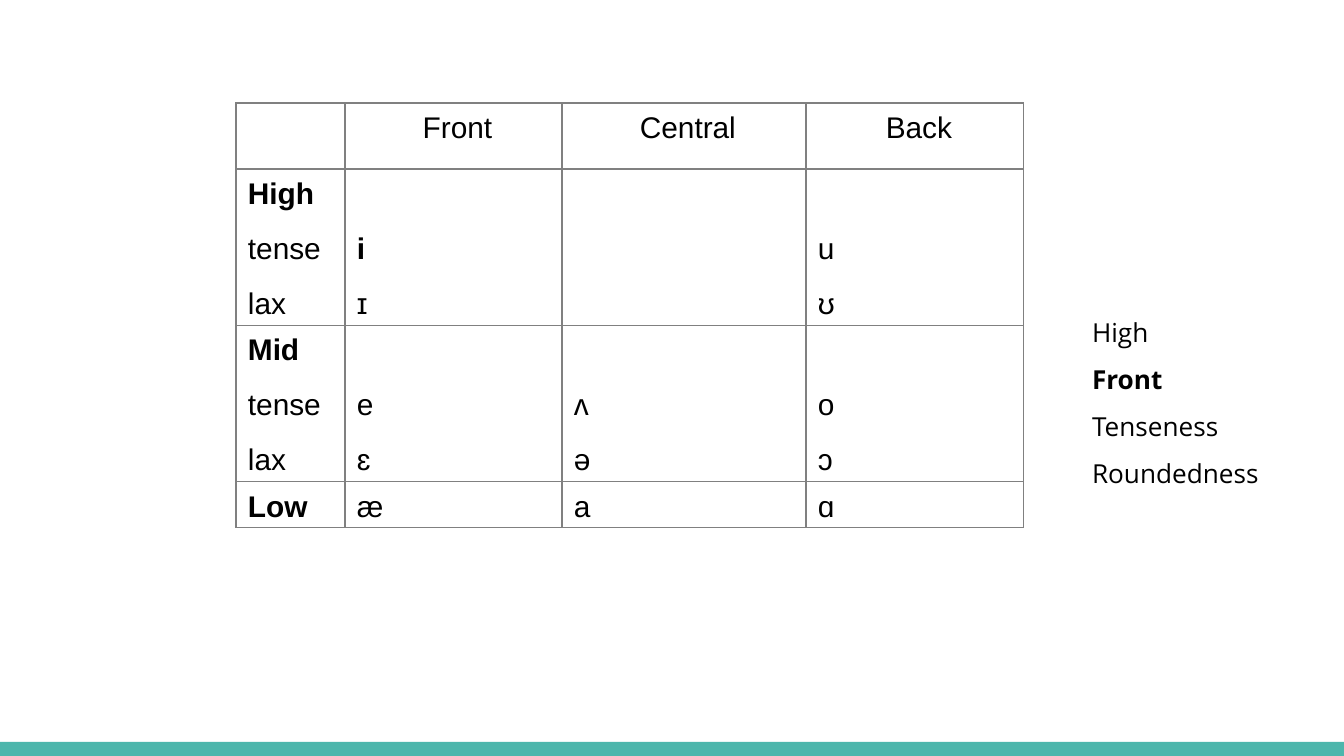
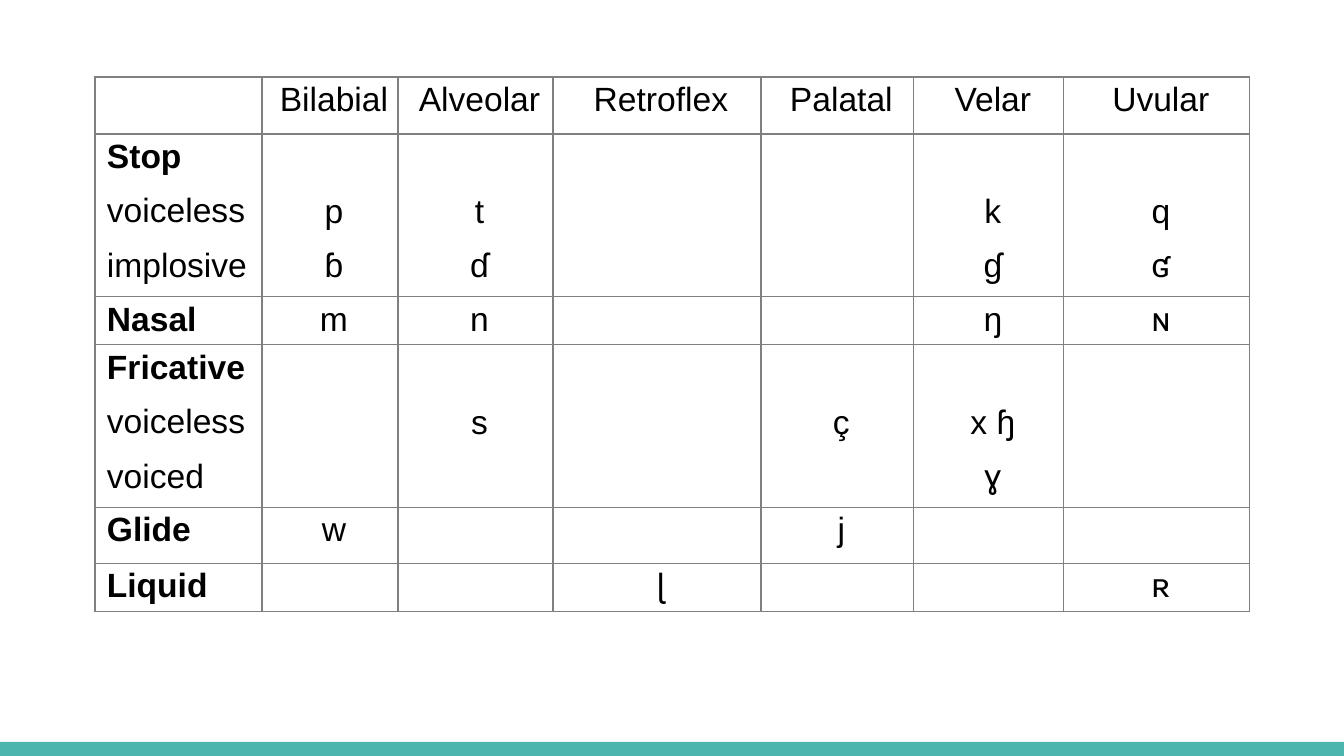
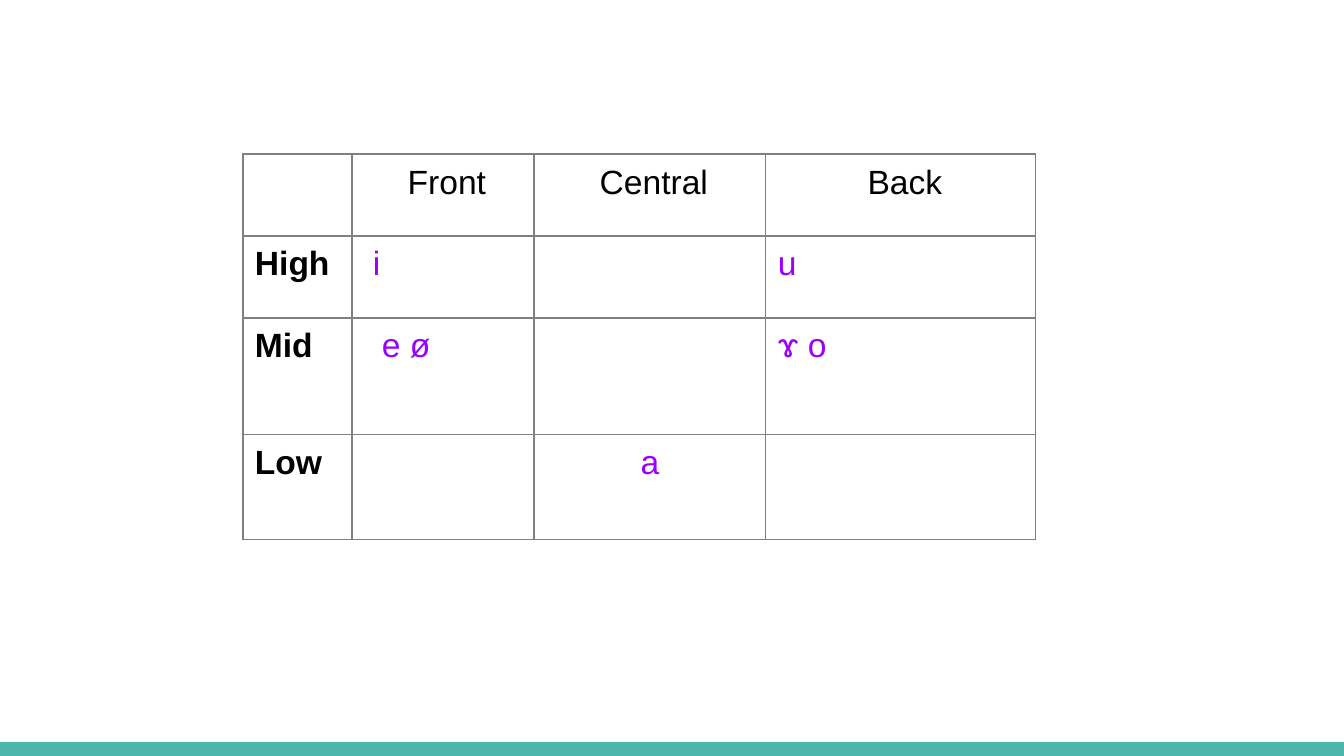
"""Build three slides of vowel and consonant charts."""
from lxml.etree import SubElement as Sub
from pptx import Presentation
from pptx.dml.color import RGBColor
from pptx.enum.shapes import MSO_SHAPE as Shape
from pptx.enum.text import PP_ALIGN as Align
from pptx.oxml.ns import qn
from pptx.util import Pt

BLACK, WHITE, GREY, TEAL, PURPLE = "000000", "FFFFFF", "808080", "4DB6AC", "9900FF"
INSET, INDENT, LINE_STEP = 4, 8, 55


def px(count):
    return round(count * 914400 / 134.4)


def color(code):
    return RGBColor.from_string(code)


vowels = dict(
    left=236, top=103, size=16, spacing=1.15, sounds=BLACK, centered=(), bold=("i",), indents={},
    widths=[109, 217, 244, 218], heights=[66, 155, 156, 45],
    rows=[
        ["", "Front", "Central", "Back"],
        ["High\ntense\nlax", "i\nɪ", "", "u\nʊ"],
        ["Mid\ntense\nlax", "e\nɛ", "ʌ\nə", "o\nɔ"],
        ["Low", "æ", "a", "ɑ"],
    ])
consonants = dict(
    left=95, top=77, size=18, spacing=1.0, sounds=BLACK, centered=range(1, 7), bold=(), indents={},
    widths=[167, 136, 155, 208, 153, 150, 186], heights=[57, 154, 45, 159, 56, 45],
    rows=[
        ["", "Bilabial", "Alveolar", "Retroflex", "Palatal", "Velar", "Uvular"],
        ["Stop\nvoiceless\nimplosive", "p\nɓ", "t\nɗ", "", "", "k\nɠ", "q\nʛ"],
        ["Nasal", "m", "n", "", "", "ŋ", "ɴ"],
        ["Fricative\nvoiceless\nvoiced", "", "s", "", "ç", "x ɧ\nɣ", ""],
        ["Glide", "w", "", "", "j", "", ""],
        ["Liquid", "", "", "ɭ", "", "", "ʀ"],
    ])
simple_vowels = dict(
    left=243, top=154, size=18, spacing=1.15, sounds=PURPLE, centered=(2,), bold=(),
    indents={"i": 17, "e ø": 26, "a": 0},
    widths=[109, 182, 232, 270], heights=[82, 82, 117, 105],
    rows=[
        ["", "Front", "Central", "Back"],
        ["High", "i", "", "u"],
        ["Mid", "e ø", "", "ɤ o"],
        ["Low", "", "a", ""],
    ])

deck = Presentation()
deck.slide_width, deck.slide_height = px(1344), px(756)

for chart in (vowels, consonants, simple_vowels):
    page = deck.slides.add_slide(deck.slide_layouts[6])
    band = page.shapes.add_shape(Shape.RECTANGLE, 0, px(742), px(1344), px(14))
    band.shadow.inherit = False
    band.fill.solid()
    band.fill.fore_color.rgb = color(TEAL)
    band.line.fill.background()

    widths, heights, rows = chart["widths"], chart["heights"], chart["rows"]
    table = page.shapes.add_table(
        len(rows), len(widths), px(chart["left"]), px(chart["top"]),
        px(sum(widths)), px(sum(heights))).table
    table.first_row = table.horz_banding = False
    for column, width in zip(table.columns, widths):
        column.width = px(width)

    for r, (texts, height) in enumerate(zip(rows, heights)):
        table.rows[r].height = px(height)
        for c, text in enumerate(texts):
            cell = table.cell(r, c)
            below_label = c > 0 and "\n" in texts[0]
            cell.margin_left = cell.margin_right = cell.margin_bottom = px(INSET)
            cell.margin_top = px(INSET + LINE_STEP * below_label)
            for side in ("lnL", "lnR", "lnT", "lnB"):
                border = Sub(cell._tc.get_or_add_tcPr(), qn("a:" + side), w=str(Pt(0.75)))
                Sub(Sub(border, qn("a:solidFill")), qn("a:srgbClr"), val=GREY)
            cell.fill.solid()
            cell.fill.fore_color.rgb = color(WHITE)

            cell.text = text
            for i, para in enumerate(cell.text_frame.paragraphs):
                indent = chart["indents"].get(para.text, INDENT)
                para._p.get_or_add_pPr().set("marL", str(px(indent)))
                is_centered = c > 0 and (r == 0 or c in chart["centered"])
                para.alignment = Align.CENTER if is_centered else Align.LEFT
                para.line_spacing = chart["spacing"]
                if i > 0:
                    para.space_before = Pt(9)
                para.font.name = "Arial"
                para.font.size = Pt(chart["size"])
                para.font.bold = (c == 0 and i == 0) or para.text in chart["bold"]
                para.font.color.rgb = color(chart["sounds"] if r and c else BLACK)

box = deck.slides[0].shapes.add_textbox(px(1079), px(288), px(212), px(82))
frame = box.text_frame
frame.word_wrap = True
frame.margin_left = frame.margin_right = frame.margin_top = frame.margin_bottom = px(13)
frame.text = "High\nFront\nTenseness\nRoundedness"
for para in frame.paragraphs:
    para.line_spacing = 1.5
    para.font.name = "Open Sans"
    para.font.size = Pt(14)
    para.font.bold = para.text == "Front"
    para.font.color.rgb = color(BLACK)

deck.save("out.pptx")
